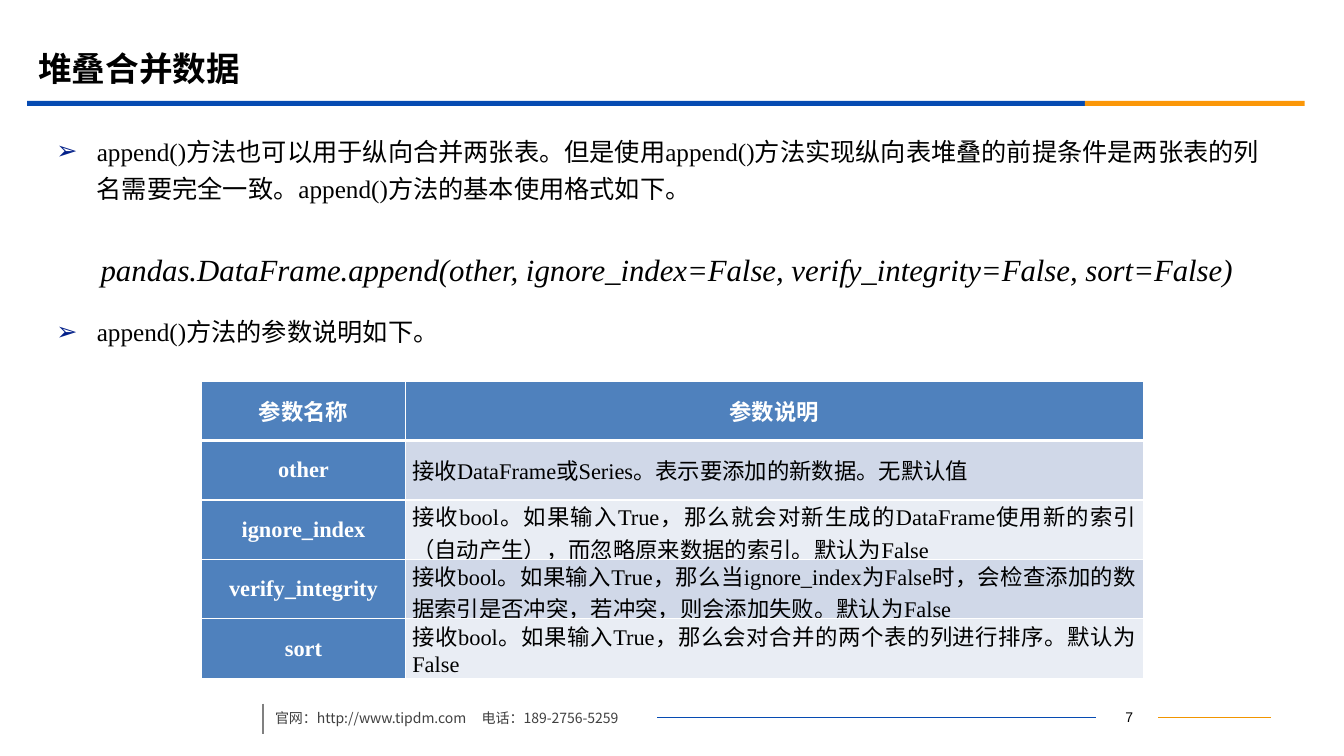
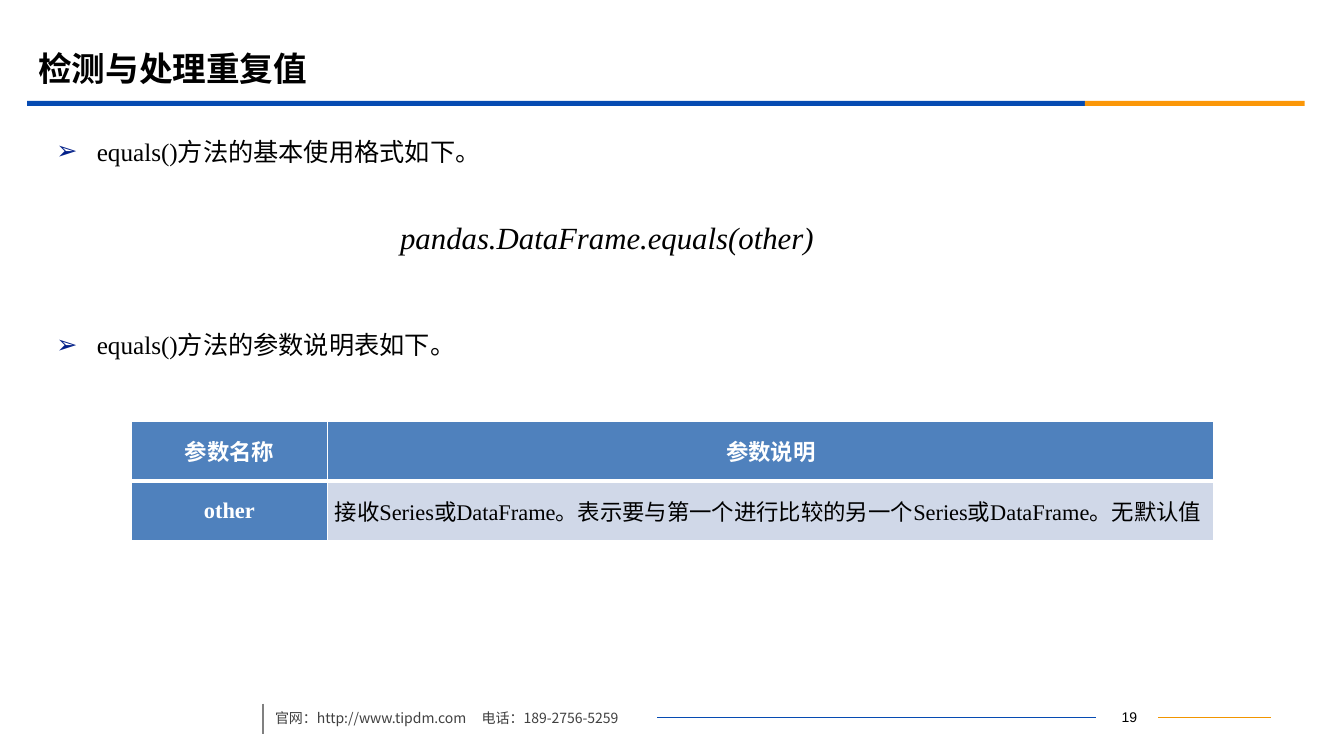
from lxml import etree
from pptx import Presentation
from pptx.dml.color import RGBColor
from pptx.enum.shapes import MSO_CONNECTOR, MSO_SHAPE
from pptx.enum.text import MSO_ANCHOR as ANCHOR, MSO_AUTO_SIZE, PP_ALIGN as ALIGN
from pptx.oxml.ns import qn
from pptx.util import Inches, Pt

BLUE, ORANGE, LINE_ORANGE, GREY = "064BB2", "FB9708", "F19500", "808080"
BULLET, HEADER, WHITE = "032089", "4F81BD", "FFFFFF"
BANDS = ("D0D8E8", "E9EDF4")
SANS, SERIF = "Noto Sans CJK SC", "Times New Roman"
TITLE = dict(name=SANS, size=Pt(24), bold=True, color="000000")
BODY = dict(name=SERIF, size=Pt(18), color="000000")
FORMULA = dict(name=SERIF, size=Pt(22), italic=True, color="000000")
FOOTER = dict(name=SANS, size=Pt(10), color="404040")
NUMBER = dict(name="Arial", size=Pt(10), color="000000")
LABEL = dict(name=SERIF, size=Pt(16), bold=True, color=WHITE)
DETAIL = dict(name=SERIF, size=Pt(16), bold=False, color="000000")
ROW_HEIGHT = 0.59

SLIDES = [
    dict(
        title="堆叠合并数据", number=7, gap=76,
        bullets=["append()方法也可以用于纵向合并两张表。但是使用append()方法实现纵向表堆叠的"
                 "前提条件是两张表的列名需要完全一致。append()方法的基本使用格式如下。",
                 "append()方法的参数说明如下。"],
        formula="pandas.DataFrame.append(other, ignore_index=False, "
                "verify_integrity=False, sort=False)",
        formula_box=(0.9, 2.44, 11.66, 0.47),
        table_at=(2, 3.78), cols=(2.02, 7.32),
        params=[
            ("other", "接收DataFrame或Series。表示要添加的新数据。无默认值"),
            ("ignore_index", "接收bool。如果输入True，那么就会对新生成的DataFrame使用新的索引"
                             "（自动产生），而忽略原来数据的索引。默认为False"),
            ("verify_integrity", "接收bool。如果输入True，那么当ignore_index为False时，会检查添加的"
                                 "数据索引是否冲突，若冲突，则会添加失败。默认为False"),
            ("sort", "接收bool。如果输入True，那么会对合并的两个表的列进行排序。默认为False"),
        ]),
    dict(
        title="检测与处理重复值", number=19, gap=111.5,
        bullets=["equals()方法的基本使用格式如下。", "equals()方法的参数说明表如下。"],
        formula="pandas.DataFrame.equals(other)",
        formula_box=(3.87, 2.12, 5.72, 0.47),
        table_at=(1.3, 4.18), cols=(1.95, 8.79),
        params=[("other", "接收Series或DataFrame。表示要与第一个进行比较的"
                          "另一个Series或DataFrame。无默认值")]),
]


def rgb(value):
    """Turn a hex string into a colour."""
    return RGBColor.from_string(value)


def add_xml(parent, tag, **attrs):
    """Append a drawing element with its attributes."""
    child = etree.SubElement(parent, qn(tag))
    for key, value in attrs.items():
        child.set(key, str(value))
    return child


def write(p, text, style, align=ALIGN.LEFT):
    """Write one formatted run into a paragraph."""
    p.alignment = align
    r = p.add_run()
    r.text = text
    for key, value in style.items():
        if key == "color":
            r.font.color.rgb = rgb(value)
        else:
            setattr(r.font, key, value)
    add_xml(r._r.get_or_add_rPr(), "a:ea", typeface=SANS)


def place(sp, box):
    """Set the position and size of a shape."""
    for key, value in zip(("left", "top", "width", "height"), box):
        setattr(sp, key, Inches(value))


def add_text(s, box, text, style, align=ALIGN.LEFT, anchor=ANCHOR.TOP):
    """Add a wrapped text box and return its paragraph."""
    tf = s.shapes.add_textbox(*map(Inches, box)).text_frame
    tf.word_wrap = True
    tf.vertical_anchor = anchor
    p = tf.paragraphs[0]
    write(p, text, style, align)
    return p


def add_band(s, box, color):
    """Add a plain filled rectangle."""
    sp = s.shapes.add_shape(MSO_SHAPE.RECTANGLE, *map(Inches, box))
    sp.shadow.inherit = False
    sp.fill.solid()
    sp.fill.fore_color.rgb = rgb(color)
    sp.line.fill.background()


def add_line(s, ends, color, width):
    """Add a straight line without a shadow."""
    line = s.shapes.add_connector(MSO_CONNECTOR.STRAIGHT, *map(Inches, ends))
    line.line.color.rgb = rgb(color)
    line.line.width = Pt(width)
    add_xml(line.element.spPr, "a:effectLst")


def add_frame(s, number):
    """Add the title rule, footer and page number."""
    add_band(s, (0.27, 1, 10.49, 0.05), BLUE)
    add_band(s, (10.76, 1, 2.18, 0.05), ORANGE)
    add_line(s, (11.49, 7.12, 12.61, 7.12), LINE_ORANGE, 0.75)
    add_line(s, (6.52, 7.12, 10.87, 7.12), BLUE, 0.75)
    add_line(s, (2.61, 6.98, 2.61, 7.28), GREY, 1.25)
    add_text(s, (10.89, 6.99, 0.62, 0.25), str(number), NUMBER, ALIGN.CENTER, ANCHOR.MIDDLE)
    p = add_text(s, (2.63, 6.95, 5.36, 0.35),
                 "官网：http://www.tipdm.com\t电话：189-2756-5259", FOOTER, anchor=ANCHOR.MIDDLE)
    tabs = add_xml(p._p.get_or_add_pPr(), "a:tabLst")
    add_xml(tabs, "a:tab", pos=Inches(2.05), algn="l")


def fill_bullets(body, texts, gap):
    """Fill the body placeholder with arrow bullets set apart by a gap."""
    tf = body.text_frame
    tf.auto_size = MSO_AUTO_SIZE.NONE
    for i, text in enumerate(texts):
        p = tf.add_paragraph() if i else tf.paragraphs[0]
        pPr = p._p.get_or_add_pPr()
        pPr.set("marL", str(Inches(0.4)))
        pPr.set("indent", str(Inches(-0.4)))
        add_xml(add_xml(pPr, "a:buClr"), "a:srgbClr", val=BULLET)
        add_xml(pPr, "a:buChar", char="➢")
        p.line_spacing = 1.23
        p.space_before = Pt(gap if i else 0)
        write(p, text, BODY)


def format_cell(cell, fill, top, bottom):
    """Set the margins, white borders and fill of a cell."""
    cell.margin_left = cell.margin_right = Inches(0.07)
    cell.margin_top = cell.margin_bottom = 0
    cell.vertical_anchor = ANCHOR.MIDDLE
    tcPr = cell._tc.get_or_add_tcPr()
    for side, width in (("L", 1), ("R", 1), ("T", top), ("B", bottom)):
        border = add_xml(tcPr, f"a:ln{side}", w=Pt(width))
        add_xml(add_xml(border, "a:solidFill"), "a:srgbClr", val=WHITE)
    cell.fill.solid()
    cell.fill.fore_color.rgb = rgb(fill)


def add_param_table(s, at, cols, params):
    """Add the table of parameter names and explanations."""
    rows = [("参数名称", "参数说明"), *params]
    box = (*at, sum(cols), ROW_HEIGHT * len(rows))
    table = s.shapes.add_table(len(rows), len(cols), *map(Inches, box)).table
    for col, width in zip(table.columns, cols):
        col.width = Inches(width)
    for i, row in enumerate(rows):
        table.rows[i].height = Inches(ROW_HEIGHT)
        for j, text in enumerate(row):
            is_label = i == 0 or j == 0
            cell = table.cell(i, j)
            format_cell(cell, HEADER if is_label else BANDS[(i - 1) % 2],
                        3 if i == 1 else 1, 3 if i == 0 else 1)
            write(cell.text_frame.paragraphs[0], text, LABEL if is_label else DETAIL,
                  ALIGN.CENTER if is_label else ALIGN.JUSTIFY)


def add_method_slide(prs, layout, data):
    """Add a slide that explains one method."""
    s = prs.slides.add_slide(layout)
    add_frame(s, data["number"])
    title = s.shapes.title.text_frame
    title.auto_size = MSO_AUTO_SIZE.NONE
    title.vertical_anchor = ANCHOR.MIDDLE
    write(title.paragraphs[0], data["title"], TITLE)
    fill_bullets(s.placeholders[1], data["bullets"], data["gap"])
    add_param_table(s, data["table_at"], data["cols"], data["params"])
    add_text(s, data["formula_box"], data["formula"], FORMULA)


def main():
    """Build and save the presentation."""
    prs = Presentation()
    prs.slide_width, prs.slide_height = Inches(13.33), Inches(7.5)
    layout = prs.slide_layouts[1]
    place(layout.placeholders[0], (0.28, 0.39, 12, 0.58))
    place(layout.placeholders[1], (0.46, 1.23, 12.15, 5.53))
    for data in SLIDES:
        add_method_slide(prs, layout, data)
    prs.save("out.pptx")


if __name__ == "__main__":
    main()
